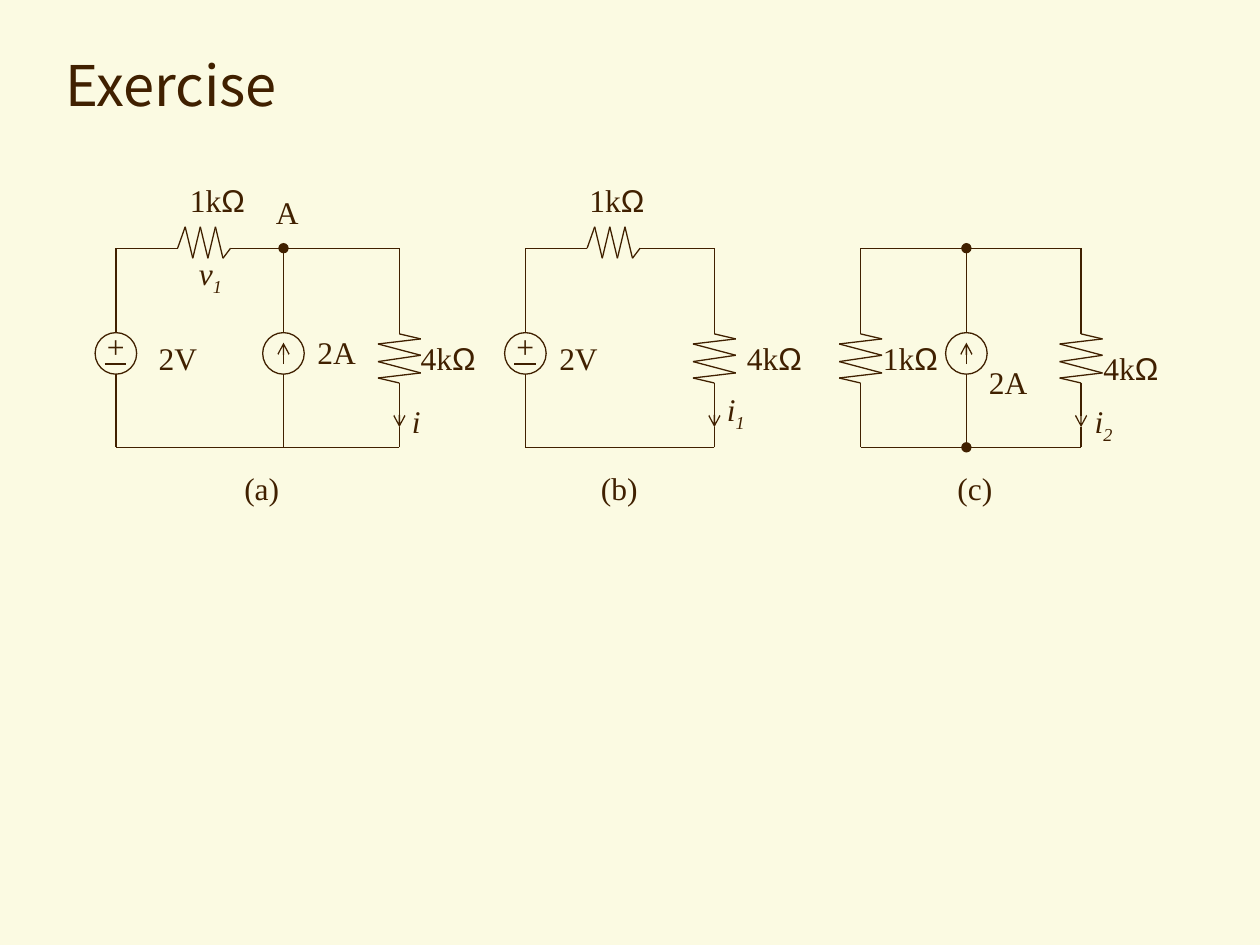
from dataclasses import dataclass
from itertools import pairwise

from lxml.etree import SubElement
from pptx import Presentation
from pptx.dml.color import RGBColor
from pptx.enum.shapes import MSO_CONNECTOR, MSO_SHAPE
from pptx.enum.text import MSO_ANCHOR, MSO_AUTO_SIZE, PP_ALIGN
from pptx.oxml.ns import qn
from pptx.util import Inches, Pt


@dataclass(frozen=True)
class Theme:
    ink: RGBColor = RGBColor(0x40, 0x20, 0x00)
    paper: RGBColor = RGBColor(0xFB, 0xFA, 0xE2)
    title_font: str = "Noto Sans CJK KR"
    font: str = "Times New Roman"
    symbol_font: str = "Arial"
    title_size: Pt = Pt(32)
    size: Pt = Pt(18)
    stroke: Pt = Pt(0.75)


theme = Theme()
prs = Presentation()
prs.slide_width, prs.slide_height = Inches(10), Inches(7.5)
s = prs.slides.add_slide(prs.slide_layouts[5])
s.background.fill.solid()
s.background.fill.fore_color.rgb = theme.paper


def add_line(shapes, start, end, **ends):
    points = [Inches(v) for v in (*start, *end)]
    cx = shapes.add_connector(MSO_CONNECTOR.STRAIGHT, *points)
    cx.line.color.rgb = theme.ink
    cx.line.width = theme.stroke
    ln = cx.line._get_or_add_ln()
    for side in ("headEnd", "tailEnd"):
        if side in ends:
            SubElement(ln, qn(f"a:{side}"), type=ends[side])
    SubElement(cx._element.spPr, qn("a:effectLst"))


def add_label(shapes, left, top, width, text, suffix=""):
    subscript = suffix.isdigit()
    tb = shapes.add_textbox(Inches(left), Inches(top), Inches(width),
                            Inches(0.44 if subscript else 0.4))
    tf = tb.text_frame
    tf.word_wrap = False
    tf.auto_size = MSO_AUTO_SIZE.SHAPE_TO_FIT_TEXT
    p = tf.paragraphs[0]
    for part in filter(None, (text, suffix)):
        r = p.add_run()
        r.text = part
        r.font.size = theme.size
        r.font.name = theme.symbol_font if part == "Ω" else theme.font
        r.font.color.rgb = theme.ink
        if text in ("v", "i"):
            r.font.italic = True
    if subscript:
        r.font._element.set("baseline", "-25000")


title = s.shapes.title
title.left, title.top = Inches(0.42), Inches(0.25)
title.width, title.height = Inches(9.17), Inches(0.83)
title.text_frame.text = "Exercise"
title.text_frame.vertical_anchor = MSO_ANCHOR.MIDDLE
p = title.text_frame.paragraphs[0]
p.alignment = PP_ALIGN.LEFT
p.font.size = theme.title_size
p.font.name = theme.title_font
p.font.color.rgb = theme.ink

top, bottom = 1.97, 3.55
source_top, source_bottom, radius = 2.64, 2.97, 0.165
arrow_start, arrow_end = 3.14, 3.39
voltage_sources = (0.92, 4.17)
current_sources = (2.25, 7.67)
load_resistors = (3.17, 5.67, 8.58)
shunt_resistor = 6.83

wires = [(0.92, 1.41, top), (1.83, 2.25, top), (2.25, 3.17, top),
         (4.17, 4.66, top), (5.08, 5.67, top),
         (6.83, 7.67, top), (7.67, 8.58, top),
         (0.92, 3.17, bottom), (4.17, 5.67, bottom), (6.83, 8.58, bottom)]
for x1, x2, y in wires:
    add_line(s.shapes, (x1, y), (x2, y))

zigzag_y = (top, 1.8, 2.05, 1.8, 2.05, 1.8, 2.05, top)
for x in (1.41, 4.66):
    group = s.shapes.add_group_shape()
    points = [(x + 0.06 * i, y) for i, y in enumerate(zigzag_y)]
    for start, end in pairwise(points):
        add_line(group.shapes, start, end)

zigzag = ((0, 2.47), (0, 2.65), (0.17, 2.69), (-0.17, 2.73), (0.17, 2.82),
          (-0.17, 2.87), (0.17, 2.96), (-0.17, 3), (0, 3.04), (0, 3.22))
for x in (*load_resistors, shunt_resistor):
    add_line(s.shapes, (x, top), (x, source_top))
    group = s.shapes.add_group_shape()
    for start, end in pairwise((x + dx, y) for dx, y in zigzag):
        add_line(group.shapes, start, end)
for x in load_resistors:
    add_line(s.shapes, (x, arrow_start), (x, arrow_end), tailEnd="arrow")
    add_line(s.shapes, (x, bottom), (x, arrow_end))
add_line(s.shapes, (shunt_resistor, bottom), (shunt_resistor, arrow_start))

for x in (*voltage_sources, *current_sources):
    group = s.shapes.add_group_shape()
    if x in voltage_sources:
        add_label(group.shapes, x - 0.17, 2.55, 0.34, "+")
        add_line(group.shapes, (x - 0.09, 2.89), (x + 0.08, 2.89))
        ends = {}
    else:
        add_line(group.shapes, (x, 2.89), (x, 2.72), tailEnd="arrow")
        ends = {"headEnd": "oval"}
    sp = group.shapes.add_shape(MSO_SHAPE.OVAL, Inches(x - radius), Inches(source_top),
                                Inches(2 * radius), Inches(2 * radius))
    sp.shadow.inherit = False
    sp.fill.background()
    sp.line.color.rgb = theme.ink
    sp.line.width = theme.stroke
    add_line(s.shapes, (x, top), (x, source_top), **ends)
    ends = {"tailEnd": "oval"} if x == current_sources[1] else {}
    add_line(s.shapes, (x, source_bottom), (x, bottom), **ends)

labels = [
    (1.41, 1.39, 0.64, "1k", "Ω"), (4.58, 1.39, 0.64, "1k", "Ω"),
    (6.91, 2.64, 0.64, "1k", "Ω"), (3.24, 2.64, 0.64, "4k", "Ω"),
    (5.83, 2.64, 0.64, "4k", "Ω"), (8.66, 2.72, 0.64, "4k", "Ω"),
    (1.16, 2.64, 0.52, "2V"), (4.34, 2.64, 0.52, "2V"),
    (2.42, 2.59, 0.52, "2A"), (7.75, 2.83, 0.52, "2A"),
    (2.09, 1.48, 0.38, "A"), (1.48, 1.97, 0.44, "v", "1"),
    (3.17, 3.14, 0.27, "i"), (5.67, 3.05, 0.34, "i", "1"),
    (8.59, 3.14, 0.34, "i", "2"),
    (1.84, 3.67, 0.48, "(a)"), (4.67, 3.67, 0.49, "(b)"), (7.5, 3.67, 0.48, "(c)"),
]
for label in labels:
    add_label(s.shapes, *label)

prs.save("out.pptx")
